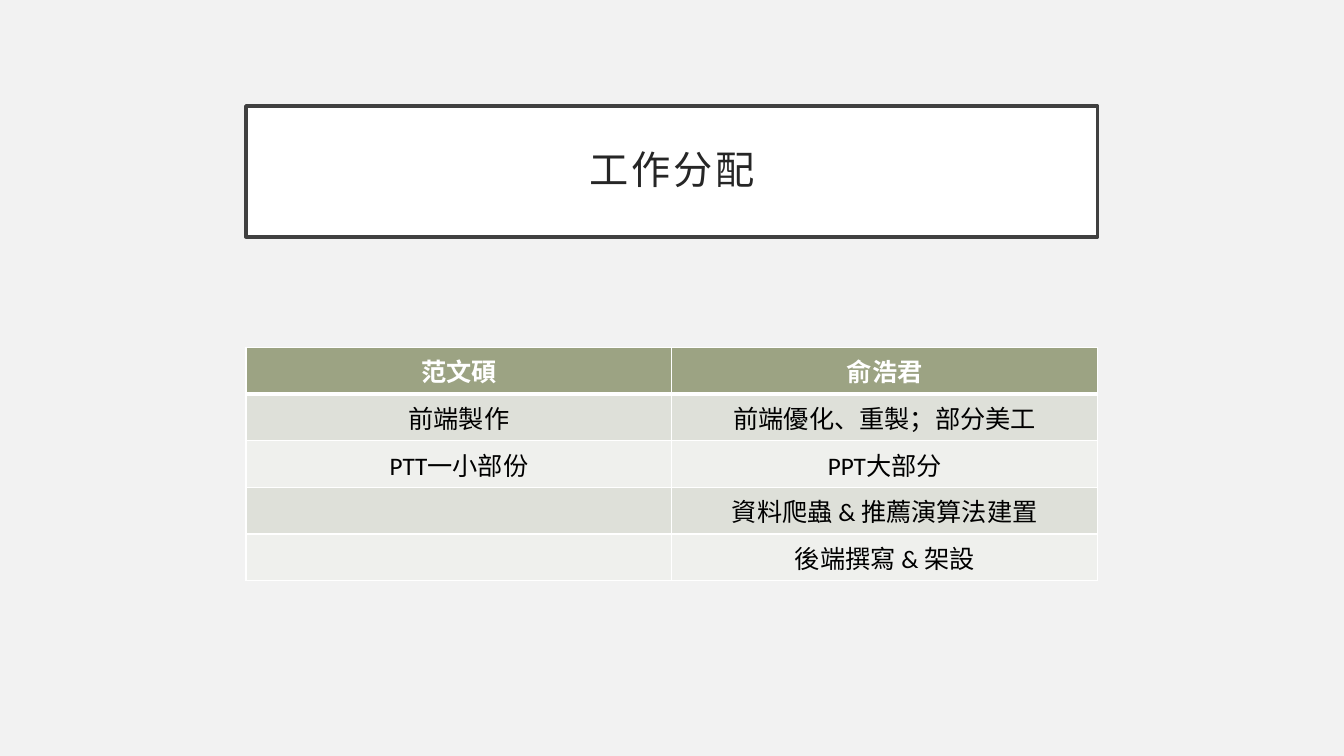
from lxml.etree import fromstring
from pptx import Presentation
from pptx.dml.color import RGBColor
from pptx.enum.text import MSO_ANCHOR, PP_ALIGN
from pptx.util import Cm, Pt

HUES = {"back": "F2F2F2", "white": "FFFFFF", "frame": "404040",
        "title": "262626", "head": "9CA383", "odd": "DEE0D9",
        "even": "EFF0ED", "text": "000000"}
NS = "http://schemas.openxmlformats.org/drawingml/2006/main"
LEFT, WIDTH = Cm(6.2), Cm(21.46)


class Deck:
    """Hold the style and the current slide."""

    def __init__(self, font):
        self.font = font
        self.file = Presentation()
        self.file.slide_width, self.file.slide_height = Cm(33.87), Cm(19.05)
        self.slide = self.file.slides.add_slide(self.file.slide_layouts[5])
        self.paint(self.slide.background.fill, "back")

    def paint(self, fill, hue):
        fill.solid()
        fill.fore_color.rgb = RGBColor.from_string(HUES[hue])

    def style(self, frame, size, hue, bold=False):
        for para in frame.paragraphs:
            para.alignment = PP_ALIGN.CENTER
            para.font.size = Pt(size)
            for run in para.runs:
                run.font.name, run.font.size = self.font, Pt(size)
                run.font.bold = bold
                run.font.color.rgb = RGBColor.from_string(HUES[hue])

    def title(self, text, top, height):
        box = self.slide.shapes.title
        box.left, box.top, box.width, box.height = LEFT, top, WIDTH, height
        self.paint(box.fill, "white")
        box.line.color.rgb = RGBColor.from_string(HUES["frame"])
        box.line.width = Pt(2.5)
        frame = box.text_frame
        frame.text = text
        frame.word_wrap = True
        frame.vertical_anchor = MSO_ANCHOR.MIDDLE
        frame.margin_left = frame.margin_right = Cm(0.5)
        frame.margin_top = frame.margin_bottom = Cm(0.5)
        self.style(frame, 28, "title")
        frame.paragraphs[0].line_spacing = 0.9
        for run in frame.paragraphs[0].runs:
            run.font._element.set("spc", "200")

    def edge(self, cell, row):
        wide = {"L": 1, "R": 1, "T": 3 if row == 1 else 1,
                "B": 3 if row == 0 else 1}
        props = cell._tc.get_or_add_tcPr()
        for spot, (side, size) in enumerate(wide.items()):
            props.insert(spot, fromstring(
                f'<a:ln{side} xmlns:a="{NS}" w="{Pt(size)}"><a:solidFill>'
                f'<a:srgbClr val="{HUES["white"]}"/></a:solidFill></a:ln{side}>'))

    def table(self, rows, top, high):
        grid = self.slide.shapes.add_table(
            len(rows), len(rows[0]), LEFT, top, WIDTH, high * len(rows)).table
        for r, row in enumerate(rows):
            fill = "head" if r == 0 else "odd" if r % 2 else "even"
            for c, text in enumerate(row):
                cell = grid.cell(r, c)
                cell.text_frame.text = text
                self.style(cell.text_frame, 18, "text" if r else "white", r == 0)
                self.paint(cell.fill, fill)
                self.edge(cell, r)


deck = Deck("Calibri")
deck.title("工作分配", Cm(2.67), Cm(3.3))
deck.table([("范文碩", "俞浩君"),
            ("前端製作", "前端優化、重製；部分美工"),
            ("PTT一小部份", "PPT大部分"),
            ("", "資料爬蟲 & 推薦演算法建置"),
            ("", "後端撰寫 & 架設")], Cm(8.76), Cm(1.04))
deck.file.save("out.pptx")
